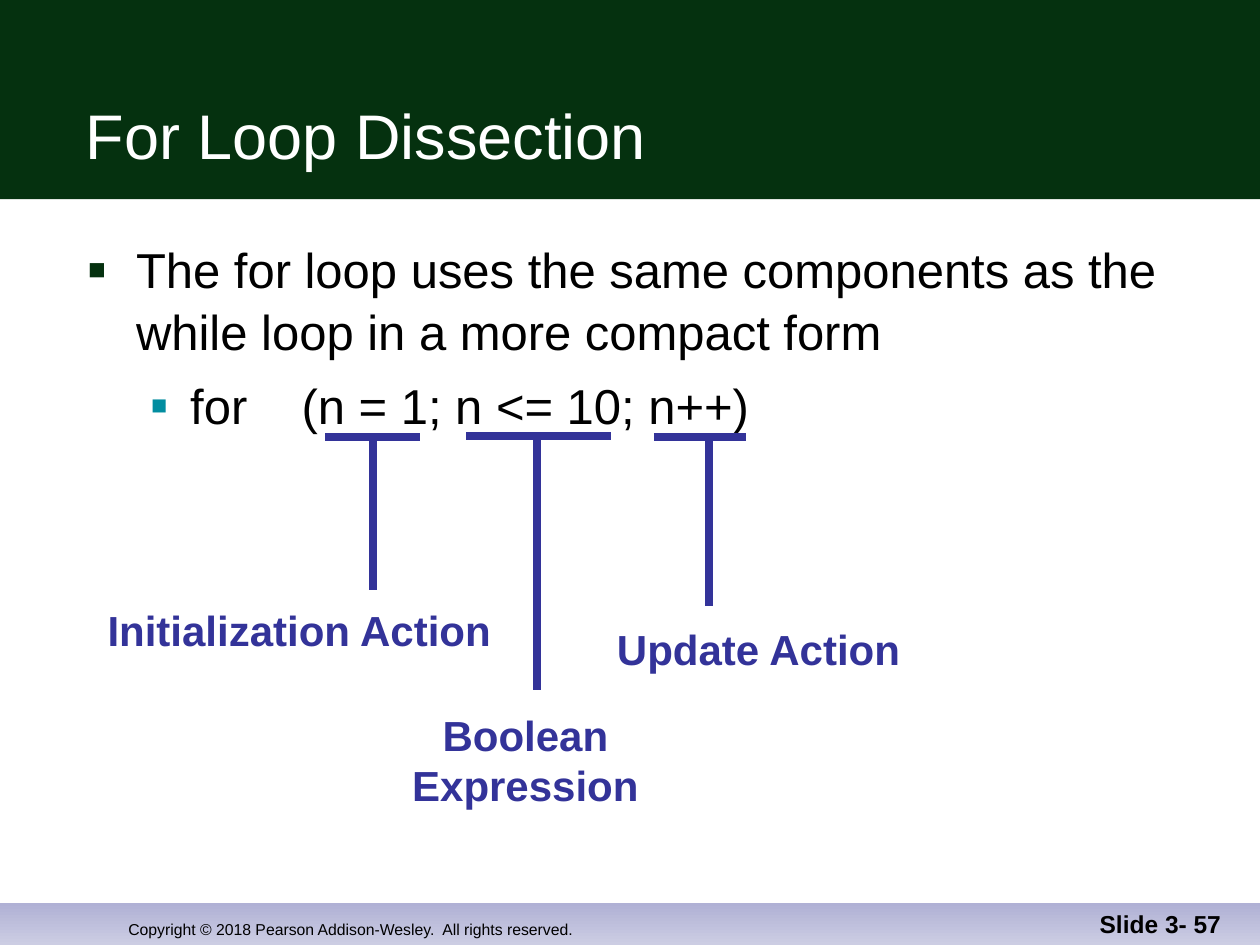
import lxml.etree
import pptx
import pptx.dml.color
import pptx.enum.shapes
import pptx.enum.text
import pptx.oxml.ns
import pptx.util

Inches = pptx.util.Inches
Pt = pptx.util.Pt
Align = pptx.enum.text.PP_ALIGN
Anchor = pptx.enum.text.MSO_ANCHOR
qn = pptx.oxml.ns.qn

FONT = "Arial"
GREEN, TEAL, INDIGO = "05310F", "028DA0", "333399"
BLACK, WHITE = "000000", "FFFFFF"


def rgb(hex_color):
    return pptx.dml.color.RGBColor.from_string(hex_color)


def place(shape, left, top, width, height):
    shape.left, shape.top = Inches(left), Inches(top)
    shape.width, shape.height = Inches(width), Inches(height)


def format_runs(paragraph, size, color, bold=False):
    for run in paragraph.runs:
        run.font.name = FONT
        run.font.size = Pt(size)
        run.font.bold = bold
        run.font.color.rgb = rgb(color)


def add_band(slide, top, height):
    """Full-width strip behind everything else."""
    band = slide.shapes.add_shape(
        pptx.enum.shapes.MSO_SHAPE.RECTANGLE,
        0, Inches(top), Inches(10), Inches(height))
    band.shadow.inherit = False
    band.line.fill.background()
    slide.shapes._spTree.insert(2, band._element)
    return band


def add_label(slide, text, box, size, color, align, anchor=Anchor.TOP,
              bold=True, wrap=True):
    label = slide.shapes.add_textbox(*(Inches(value) for value in box))
    frame = label.text_frame
    frame.text = text
    frame.word_wrap = wrap
    frame.vertical_anchor = anchor
    frame.paragraphs[0].alignment = align
    format_runs(frame.paragraphs[0], size, color, bold)


def add_line(slide, x1, y1, x2, y2):
    line = slide.shapes.add_connector(
        pptx.enum.shapes.MSO_CONNECTOR.STRAIGHT,
        Inches(x1), Inches(y1), Inches(x2), Inches(y2))
    line.line.color.rgb = rgb(INDIGO)
    line.line.width = Pt(4.5)
    lxml.etree.SubElement(line._element.spPr, qn("a:effectLst"))


def add_callout(slide, text, bar, stem, box):
    """Bar under a loop part, a stem down from it, and its label."""
    left, right, top = bar
    x, bottom = stem
    add_line(slide, left, top, right, top)
    add_line(slide, x, top, x, bottom)
    add_label(slide, text, box, 24, INDIGO, Align.CENTER, wrap=False)


def set_bullet(paragraph, color, percent, margin, hanging):
    properties = paragraph._p.get_or_add_pPr()
    properties.set("marL", str(Inches(margin)))
    properties.set("indent", str(-Inches(hanging)))
    bullet_color = lxml.etree.SubElement(properties, qn("a:buClr"))
    lxml.etree.SubElement(bullet_color, qn("a:srgbClr"), val=color)
    lxml.etree.SubElement(properties, qn("a:buSzPct"), val=str(percent * 1000))
    lxml.etree.SubElement(properties, qn("a:buFont"), typeface=FONT)
    lxml.etree.SubElement(properties, qn("a:buChar"), char="■")


def fill_title(title):
    place(title, 0.58, 0.33, 9.08, 1.09)
    frame = title.text_frame
    frame.text = "For Loop Dissection"
    frame.auto_size = pptx.enum.text.MSO_AUTO_SIZE.NONE
    frame.vertical_anchor = Anchor.BOTTOM
    frame.paragraphs[0].alignment = Align.LEFT
    format_runs(frame.paragraphs[0], 36, WHITE)


def fill_body(body):
    place(body, 0.6, 1.83, 9.07, 5)
    frame = body.text_frame
    frame.auto_size = pptx.enum.text.MSO_AUTO_SIZE.NONE
    frame.margin_right = 0
    # text, level, bullet colour, bullet percent, margin, hanging, space before
    points = [
        ("The for loop uses the same components as the \v"
         "while loop in a more compact form", 0, GREEN, 60, 0.38, 0.38, 0),
        ("for    (n = 1; n <= 10; n++)", 1, TEAL, 55, 0.81, 0.31, 7),
    ]
    for index, (text, level, color, percent, margin, hanging, gap) in enumerate(points):
        point = frame.add_paragraph() if index else frame.paragraphs[0]
        point.text = text
        point.level = level
        set_bullet(point, color, percent, margin, hanging)
        point.space_before = Pt(gap)
        point.line_spacing = 1.05
        format_runs(point, 28, BLACK)


def main():
    deck = pptx.Presentation()
    deck.slide_width, deck.slide_height = Inches(10), Inches(7.5)
    slide = deck.slides.add_slide(deck.slide_layouts[1])

    # Header and footer bands
    header = add_band(slide, 0, 1.58)
    header.fill.solid()
    header.fill.fore_color.rgb = rgb(GREEN)
    footer = add_band(slide, 7.17, 0.33)
    footer.fill.gradient()
    footer.fill.gradient_angle = 270
    for stop, color in zip(footer.fill.gradient_stops, ("B0B1D5", "CCCDE3")):
        stop.color.rgb = rgb(color)

    # Title and bullets
    fill_title(slide.shapes.title)
    fill_body(slide.placeholders[1])

    # Parts of the loop header
    add_callout(slide, "Initialization Action", (2.58, 3.33, 3.47),
                (2.96, 4.68), (0.75, 4.75, 3.25, 0.5))
    add_callout(slide, "Boolean Expression", (3.7, 4.85, 3.46),
                (4.26, 5.48), (2.47, 5.58, 3.4, 0.5))
    add_callout(slide, "Update Action", (5.19, 5.92, 3.47),
                (5.63, 4.81), (4.79, 4.9, 2.46, 0.5))

    # Footer text
    add_label(slide,
              "Copyright © 2018 Pearson Addison-Wesley.  All rights reserved.",
              (0.92, 7, 4.92, 0.5), 9, BLACK, Align.LEFT, Anchor.BOTTOM,
              bold=False)
    add_label(slide, "Slide 3- 57", (7.71, 7, 2.08, 0.5), 14, BLACK,
              Align.RIGHT, Anchor.BOTTOM)

    deck.save("out.pptx")


if __name__ == "__main__":
    main()
